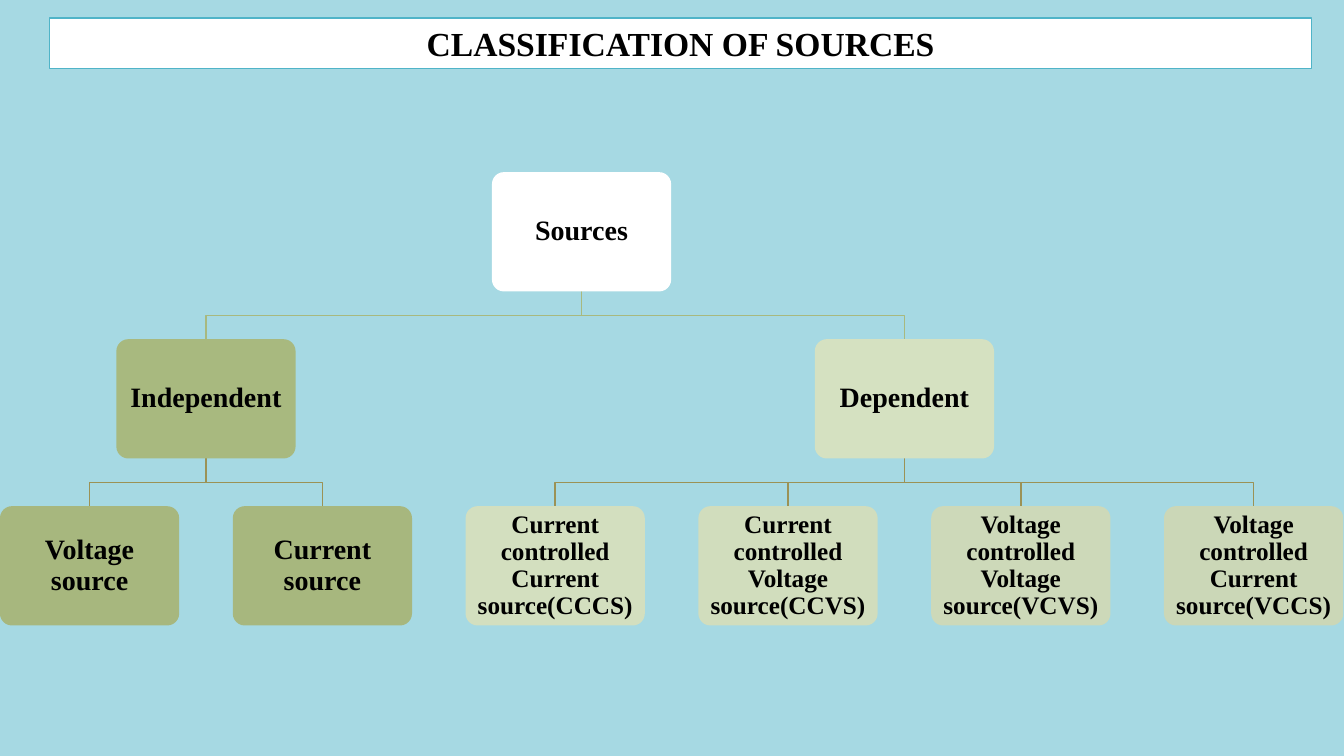
from pptx import Presentation
from pptx.dml.color import RGBColor
from pptx.enum.shapes import MSO_SHAPE as SHAPE
from pptx.enum.text import MSO_ANCHOR as ANCHOR, PP_ALIGN as ALIGN
from pptx.util import Pt

BACKGROUND = RGBColor(0xA6, 0xD9, 0xE3)
TEAL = RGBColor(0x50, 0xB4, 0xC8)
WHITE = RGBColor(0xFF, 0xFF, 0xFF)
BLACK = RGBColor(0x00, 0x00, 0x00)
GREEN = RGBColor(0xA8, 0xB9, 0x7F)
LEAF_GREEN = RGBColor(0xA7, 0xB7, 0x7E)
PALE_GREEN = RGBColor(0xD5, 0xE1, 0xC1)
CCCS_GREEN = RGBColor(0xD3, 0xDF, 0xBF)
CCVS_GREEN = RGBColor(0xD1, 0xDD, 0xBD)
VCVS_GREEN = RGBColor(0xCD, 0xD9, 0xB9)
VCCS_GREEN = RGBColor(0xCB, 0xD7, 0xB7)
BROWN = RGBColor(0x9B, 0x92, 0x56)

# Tree geometry in points
BOX_W, BOX_H = 128, 85.2
TOP, LEVEL_STEP = 123, 119.3
LEAF_START, LEAF_STEP = 64, 166.3
ROOT_X = 415.4

prs = Presentation()
prs.slide_width, prs.slide_height = Pt(960), Pt(540)
slide = prs.slides.add_slide(prs.slide_layouts[6])
slide.background.fill.solid()
slide.background.fill.fore_color.rgb = BACKGROUND


def add_box(kind, left, top, width, height, text, size, color):
    box = slide.shapes.add_shape(kind, Pt(left), Pt(top), Pt(width), Pt(height))
    box.shadow.inherit = False
    box.fill.solid()
    box.fill.fore_color.rgb = color
    box.line.fill.background()
    frame = box.text_frame
    frame.word_wrap = True
    frame.vertical_anchor = ANCHOR.MIDDLE
    paragraph = frame.paragraphs[0]
    paragraph.text = text
    paragraph.alignment = ALIGN.CENTER
    font = paragraph.font
    font.name, font.size, font.bold = "Times New Roman", Pt(size), True
    font.color.rgb = BLACK
    return box


def add_branch(parent_x, child_x, level, color):
    start = TOP + level * LEVEL_STEP + BOX_H
    end = TOP + (level + 1) * LEVEL_STEP
    middle = (start + end) / 2
    builder = slide.shapes.build_freeform(Pt(parent_x), Pt(start))
    builder.add_line_segments(
        [(Pt(parent_x), Pt(middle)), (Pt(child_x), Pt(middle)), (Pt(child_x), Pt(end))],
        close=False,
    )
    branch = builder.convert_to_shape()
    branch.shadow.inherit = False
    branch.fill.background()
    branch.line.color.rgb = color
    branch.line.width = Pt(1)


# Groups of sources, each with its leaves
groups = [
    ("Independent", GREEN, 20, [
        ("Voltage source", LEAF_GREEN),
        ("Current source", LEAF_GREEN),
    ]),
    ("Dependent", PALE_GREEN, 18, [
        ("Current controlled Current source(CCCS)", CCCS_GREEN),
        ("Current controlled Voltage source(CCVS)", CCVS_GREEN),
        ("Voltage controlled Voltage source(VCVS)", VCVS_GREEN),
        ("Voltage controlled Current source(VCCS)", VCCS_GREEN),
    ]),
]

# Branches, and the nodes as (centre, level, text, size, colour)
nodes = [(ROOT_X, 0, "Sources", 20, WHITE)]
leaf_x = LEAF_START
for group, group_color, leaf_size, leaves in groups:
    group_x = leaf_x + (len(leaves) - 1) * LEAF_STEP / 2
    add_branch(ROOT_X, group_x, 0, GREEN)
    nodes.append((group_x, 1, group, 20, group_color))
    for leaf, leaf_color in leaves:
        add_branch(group_x, leaf_x, 1, BROWN)
        nodes.append((leaf_x, 2, leaf, leaf_size, leaf_color))
        leaf_x += LEAF_STEP

# Node boxes
for center, level, text, size, color in nodes:
    node = add_box(SHAPE.ROUNDED_RECTANGLE, center - BOX_W / 2, TOP + level * LEVEL_STEP,
                   BOX_W, BOX_H, text, size, color)
    node.adjustments[0] = 0.1
    frame = node.text_frame
    frame.margin_left = frame.margin_right = Pt(4.7)
    frame.margin_top = frame.margin_bottom = Pt(4.7)
    frame.paragraphs[0].line_spacing = 0.9

# Title
title = add_box(SHAPE.RECTANGLE, 35.4, 12.8, 901.4, 36.2,
                "CLASSIFICATION OF SOURCES", 24, WHITE)
title.line.color.rgb = TEAL
title.line.width = Pt(1)

prs.save("out.pptx")
